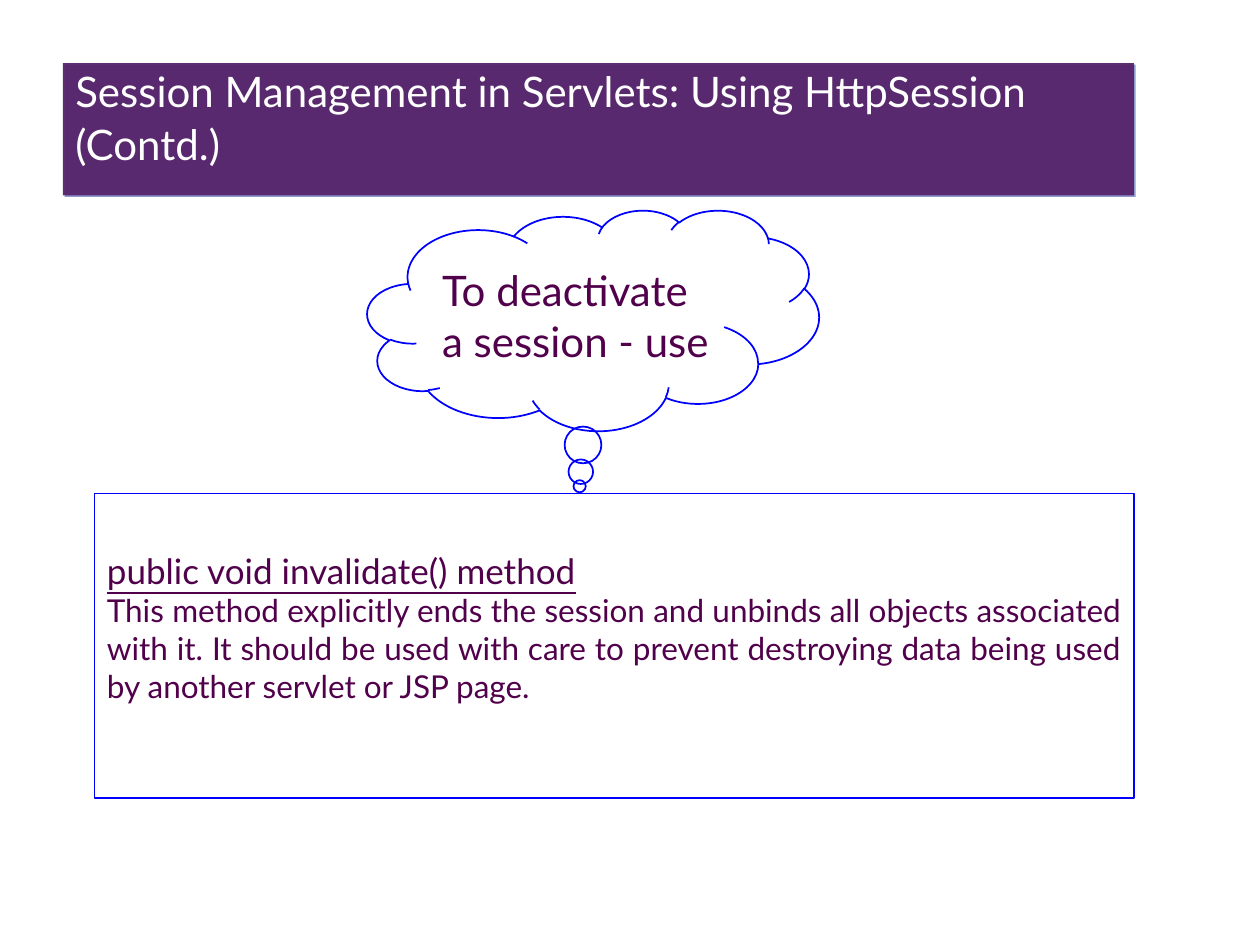
from lxml.etree import SubElement as Sub
from pptx import Presentation
from pptx.dml.color import RGBColor
from pptx.enum.shapes import MSO_SHAPE as Kind
from pptx.enum.text import MSO_ANCHOR as Anchor, PP_ALIGN as Align
from pptx.oxml.ns import qn
from pptx.util import Pt

WHITE = RGBColor(0xFF, 0xFF, 0xFF)
BLUE = RGBColor(0x00, 0x00, 0xFF)
PLUM = RGBColor(0x51, 0x00, 0x4B)
GRAPE = RGBColor(0x56, 0x24, 0x69)
SHADE = "8A92CA"
FONT = "Lato"

TITLE = [("Session Management in Servlets: Using HttpSession (Contd.)", 24, False)]
CLOUD = [("To deactivate a session - use", 24, False)]
METHOD = [
    ("public void invalidate() method", 20, True),
    ("This method explicitly ends the session and unbinds all objects "
     "associated with it. It should be used with care to prevent destroying "
     "data being used by another servlet or JSP page.", 18, False),
]


def draw(kind, left, top, width, height, fill=None, line=None):
    shape = slide.shapes.add_shape(kind, Pt(left), Pt(top), Pt(width), Pt(height))
    shape.shadow.inherit = False
    if fill is None:
        shape.fill.background()
    else:
        shape.fill.solid()
        shape.fill.fore_color.rgb = fill
    if line is None:
        shape.line.fill.background()
    else:
        shape.line.color.rgb = line
        shape.line.width = Pt(1)
    return shape


def write(shape, paras, color, anchor, align=Align.LEFT, space=None):
    frame = shape.text_frame
    frame.word_wrap = True
    frame.vertical_anchor = anchor
    for i, (text, size, under) in enumerate(paras):
        para = frame.add_paragraph() if i else frame.paragraphs[0]
        para.alignment = align
        para.line_spacing = space
        run = para.add_run()
        run.text = text
        font = run.font
        font.name, font.size, font.underline = FONT, Pt(size), under
        font.color.rgb = color
    return frame


deck = Presentation()
deck.slide_width, deck.slide_height = Pt(720), Pt(540)
slide = deck.slides.add_slide(deck.slide_layouts[6])

box = draw(Kind.RECTANGLE, 54, 282, 594, 174, WHITE, BLUE)
frame = write(box, METHOD, PLUM, Anchor.MIDDLE, Align.JUSTIFY)
frame.margin_bottom = Pt(25.2)

cloud = draw(Kind.CLOUD_CALLOUT, 210, 120, 258, 126, line=BLUE)
cloud.adjustments[0] = -0.03
cloud.adjustments[1] = 0.753
write(cloud, CLOUD, PLUM, Anchor.MIDDLE)

bar = draw(Kind.RECTANGLE, 36, 36, 612, 75.6, GRAPE)
frame = write(bar, TITLE, WHITE, Anchor.TOP, space=1.05)
frame.margin_top = Pt(0)
props = bar.element.spPr
tint = props.find(qn("a:solidFill")).find(qn("a:srgbClr"))
Sub(tint, qn("a:alpha"), val="95000")
cast = Sub(props.find(qn("a:effectLst")), qn("a:outerShdw"),
           dist=str(Pt(1.4)), dir="2700000", algn="ctr", rotWithShape="0")
Sub(cast, qn("a:srgbClr"), val=SHADE)

deck.save("out.pptx")
